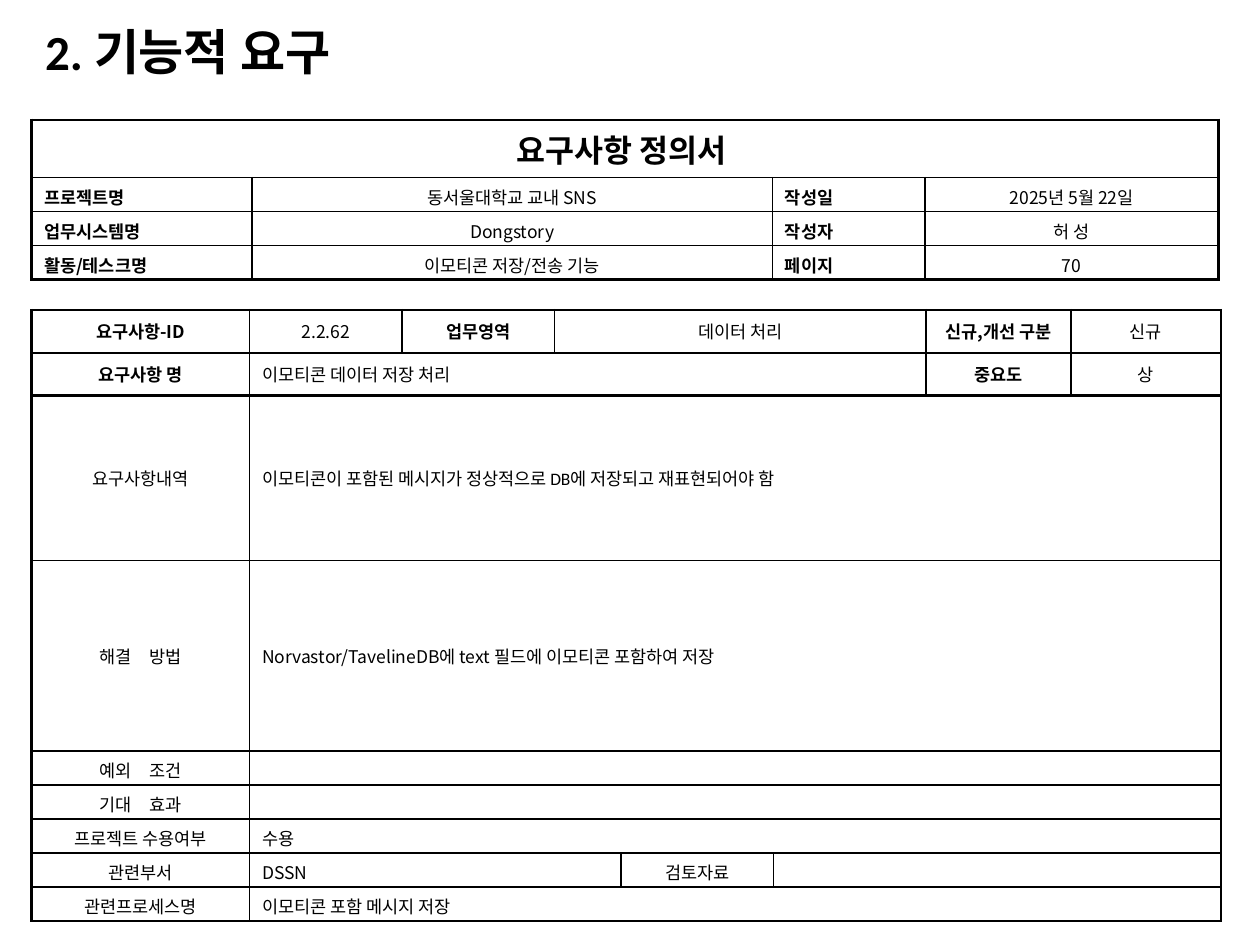
"""Builds the requirement definition slide with its two form tables."""
from lxml import etree
from pptx import Presentation, util as u
from pptx.dml.color import RGBColor
from pptx.enum import text
from pptx.oxml import ns

SIZE = (10, 7.5)
HUES = {"ink": "000000"}
FONTS = {"cjk": "Noto Sans CJK KR", "latin": "Calibri"}
THIN, THICK = 1, 1.5
MID, TOP = text.MSO_ANCHOR.MIDDLE, text.MSO_ANCHOR.TOP
CENTER, LEFT, JUST = text.PP_ALIGN.CENTER, text.PP_ALIGN.LEFT, text.PP_ALIGN.JUSTIFY

KINDS = {
    "title": {"align": CENTER, "anchor": MID, "size": 18, "bold": True},
    "label": {"align": JUST, "anchor": TOP, "size": 10, "bold": True},
    "entry": {"align": CENTER, "anchor": TOP, "size": 10, "bold": False},
    "head": {"align": CENTER, "anchor": MID, "size": 10, "bold": True},
    "mid": {"align": CENTER, "anchor": MID, "size": 10, "bold": False},
    "body": {"align": LEFT, "anchor": MID, "size": 10, "bold": False},
    "mixed": {"align": LEFT, "anchor": MID, "size": 10, "bold": False, "font": "latin"},
}
HEADING = {"at": (0.26, 0.21, 5.36, 0.44), "text": "2. 기능적 요구"}
DETAIL = {
    "at": (0.25, 2.46),
    "cols": [1.73, 1.21, 1.21, 0.53, 1.21, 1.21, 1.15, 1.19],
    "rows": [0.34, 0.34, 1.31, 1.51] + [0.27] * 5,
    "rules": {0, 1, 2, 9},
    "cells": [
        [("요구사항-ID", 1, "head"), ("2.2.62", 1, "mid"), ("업무영역", 1, "head"),
         ("데이터 처리", 3, "mid"), ("신규,개선 구분", 1, "head"), ("신규", 1, "mid")],
        [("요구사항 명", 1, "head"), ("이모티콘 데이터 저장 처리", 5, "body"),
         ("중요도", 1, "head"), ("상", 1, "mid")],
        [("요구사항내역", 1, "mid"),
         ("이모티콘이 포함된 메시지가 정상적으로 DB에 저장되고 재표현되어야 함", 7, "mixed")],
        [("해결　방법", 1, "mid"),
         ("Norvastor/TavelineDB에 text 필드에 이모티콘 포함하여 저장", 7, "body")],
        [("예외　조건", 1, "mid"), ("", 7, "body")],
        [("기대　효과", 1, "mid"), ("", 7, "body")],
        [("프로젝트 수용여부", 1, "mid"), ("수용", 7, "body")],
        [("관련부서", 1, "mid"), ("DSSN", 3, "body"), ("검토자료", 1, "mid"), ("", 3, "body")],
        [("관련프로세스명", 1, "mid"), ("이모티콘 포함 메시지 저장", 7, "body")],
    ],
}
SUMMARY = {
    "at": (0.25, 0.95),
    "cols": [1.75, 4.13, 1.21, 2.33],
    "rows": [0.46] + [0.27] * 3,
    "rules": {0, 4},
    "cells": [
        [("요구사항 정의서 ", 4, "title")],
        [("프로젝트명", 1, "label"), ("동서울대학교 교내 SNS", 1, "entry"),
         ("작성일", 1, "label"), ("2025년 5월 22일", 1, "entry")],
        [("업무시스템명 ", 1, "label"), ("Dongstory", 1, "entry"),
         ("작성자", 1, "label"), ("허 성", 1, "entry")],
        [("활동/테스크명", 1, "label"), ("이모티콘 저장/전송 기능", 1, "entry"),
         ("페이지", 1, "label"), ("70", 1, "entry")],
    ],
}


def write(para, words, size, bold, font="cjk"):
    if not words:
        etree.SubElement(para._p, ns.qn("a:endParaRPr"), sz=str(size * 100))
        return
    run = para.add_run()
    run.text = words
    looks = {"size": u.Pt(size), "bold": bold, "name": FONTS[font]}
    for key, val in looks.items():
        setattr(run.font, key, val)
    run.font.color.rgb = RGBColor.from_string(HUES["ink"])


def border(cell, widths):
    props = cell._tc.get_or_add_tcPr()
    for side, width in widths.items():
        line = etree.SubElement(props, ns.qn("a:ln" + side), w=str(u.Pt(width)))
        fill = etree.SubElement(line, ns.qn("a:solidFill"))
        etree.SubElement(fill, ns.qn("a:srgbClr"), val=HUES["ink"])
    cell.fill.background()


def add_form(slide, form):
    cols, rows, rules = form["cols"], form["rows"], form["rules"]
    box = [u.Inches(v) for v in (*form["at"], sum(cols), sum(rows))]
    table = slide.shapes.add_table(len(rows), len(cols), *box).table
    table.first_row = table.horz_banding = False
    for col, width in zip(table.columns, cols):
        col.width = u.Inches(width)
    for row, height in zip(table.rows, rows):
        row.height = u.Inches(height)
    for r, line in enumerate(form["cells"]):
        start = 0
        for words, span, kind in line:
            end = start + span
            cell = table.cell(r, start)
            if span > 1:
                cell.merge(table.cell(r, end - 1))
            widths = {"L": THIN if start else THICK,
                      "R": THICK if end == len(cols) else THIN,
                      "T": THICK if r in rules else THIN,
                      "B": THICK if r + 1 in rules else THIN}
            for c in range(start, end):
                border(table.cell(r, c), widths)
            style = dict(KINDS[kind])
            cell.vertical_anchor = style.pop("anchor")
            para = cell.text_frame.paragraphs[0]
            para.alignment = style.pop("align")
            write(para, words, **style)
            start = end


def main():
    deck = Presentation()
    deck.slide_width, deck.slide_height = map(u.Inches, SIZE)
    slide = deck.slides.add_slide(deck.slide_layouts[6])
    frame = slide.shapes.add_textbox(*map(u.Inches, HEADING["at"])).text_frame
    frame.word_wrap, frame.vertical_anchor = True, MID
    para = frame.paragraphs[0]
    para.line_spacing = 0.9
    write(para, HEADING["text"], 28, True, "latin")
    for form in (DETAIL, SUMMARY):
        add_form(slide, form)
    deck.save("out.pptx")


if __name__ == "__main__":
    main()
